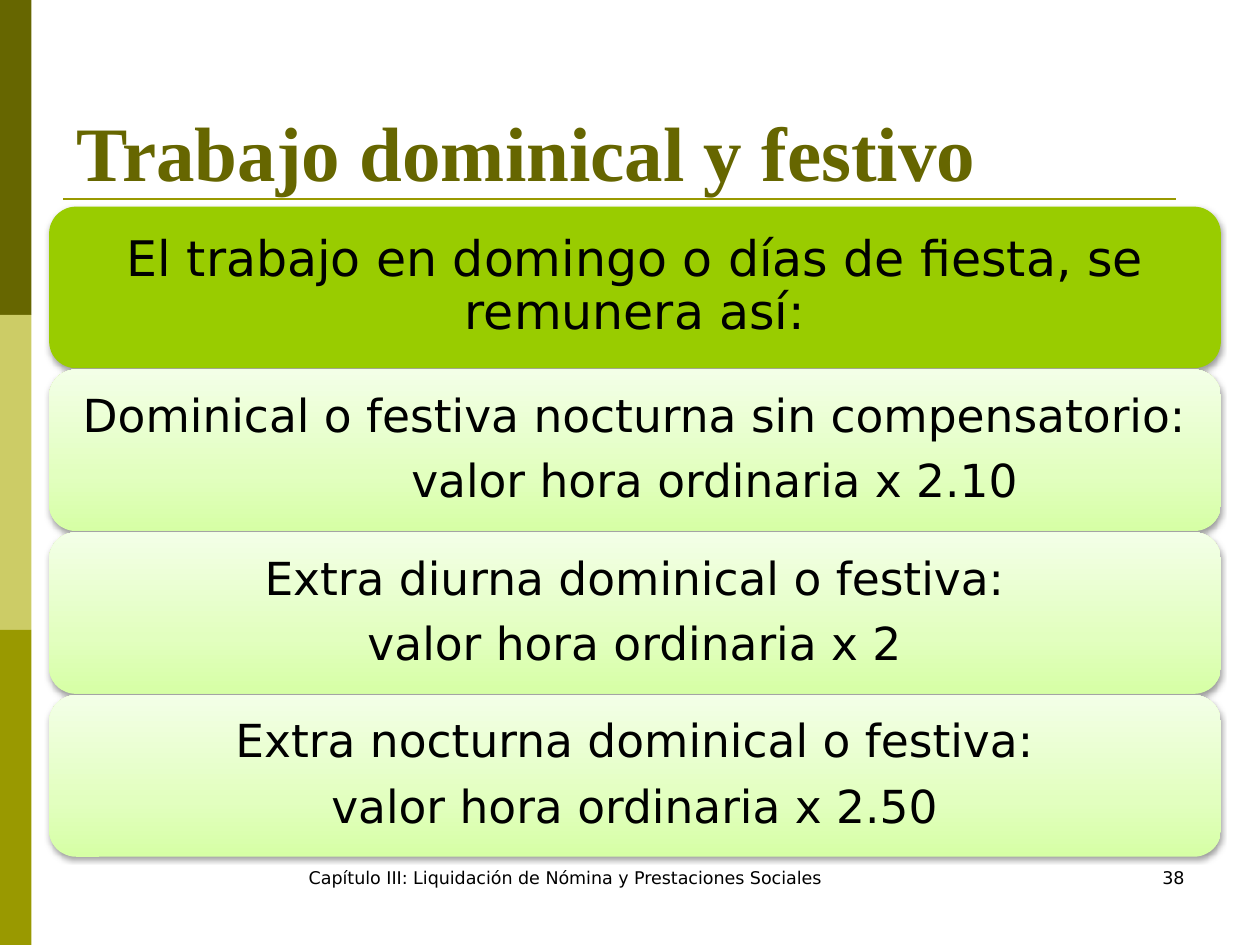
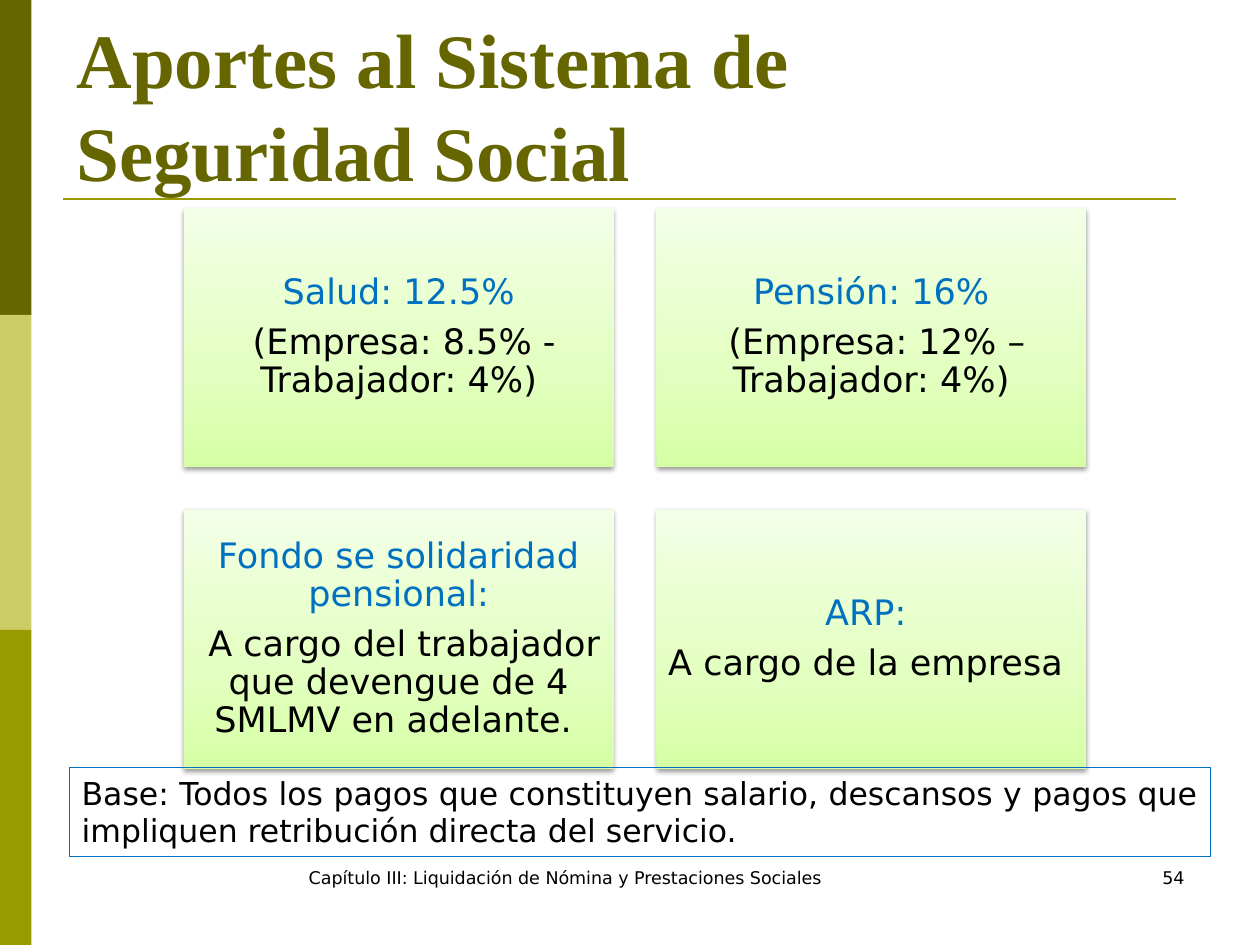
from copy import deepcopy

from pptx import Presentation
from pptx.dml.color import RGBColor
from pptx.enum.shapes import MSO_CONNECTOR, MSO_SHAPE as SHAPE
from pptx.enum.text import MSO_ANCHOR as ANCHOR, PP_ALIGN as ALIGN
from pptx.oxml import parse_xml
from pptx.oxml.ns import nsdecls, qn
from pptx.util import Inches, Pt

OLIVE_DARK = RGBColor(0x66, 0x66, 0x00)
OLIVE_PALE = RGBColor(0xCC, 0xCC, 0x66)
OLIVE = RGBColor(0x99, 0x99, 0x00)
LIME = RGBColor(0x99, 0xCC, 0x00)
BLUE = RGBColor(0x00, 0x70, 0xC0)
BLACK = RGBColor(0x00, 0x00, 0x00)
LIME_FADE = [(0, RGBColor(0xD6, 0xFF, 0xA5)),
             (0.35, RGBColor(0xE2, 0xFF, 0xBF)),
             (1, RGBColor(0xF3, 0xFF, 0xE7))]

BODY_FONT = "DejaVu Sans"
TITLE_FONT = "Times New Roman"
FOOTER = "Capítulo III: Liquidación de Nómina y Prestaciones Sociales"
CARD_SHADOW = (
    f'<a:effectLst {nsdecls("a")}><a:outerShdw blurRad="{Pt(3.1)}" '
    f'dist="{Pt(1.6)}" dir="5400000" rotWithShape="0"><a:srgbClr val="000000">'
    '<a:alpha val="38000"/></a:srgbClr></a:outerShdw></a:effectLst>')


def inches(box):
    return [Inches(value) for value in box]


def write(shape, paragraphs, size, align=ALIGN.LEFT, anchor=ANCHOR.TOP,
          inset=None, line_spacing=None, gap=0, font=BODY_FONT, bold=False):
    """Fill a shape with paragraphs given as (text, colour, left indent)."""
    frame = shape.text_frame
    frame.word_wrap = True
    frame.vertical_anchor = anchor
    if inset is not None:
        for side in ("left", "top", "right", "bottom"):
            setattr(frame, f"margin_{side}", Inches(inset))
    for index, (text, color, indent) in enumerate(paragraphs):
        paragraph = frame.paragraphs[0] if index == 0 else frame.add_paragraph()
        paragraph.text = text
        paragraph.alignment = align
        if line_spacing:
            paragraph.line_spacing = line_spacing
        if index and gap:
            paragraph.space_before = Pt(gap)
        if indent:
            paragraph._p.get_or_add_pPr().set("marL", str(Inches(indent)))
        for run in paragraph.runs:
            for name, value in {"size": Pt(size), "name": font, "bold": bold}.items():
                setattr(run.font, name, value)
            run.font.color.rgb = color


def add_text(slide, box, text, size, color=BLACK, **style):
    write(slide.shapes.add_textbox(*inches(box)), [(text, color, 0)], size, **style)


def add_block(slide, box, color):
    block = slide.shapes.add_shape(SHAPE.RECTANGLE, *inches(box))
    block.shadow.inherit = False
    block.fill.solid()
    block.fill.fore_color.rgb = color
    block.line.fill.background()


def fade(fill, properties):
    """Three-stop gradient, darkest at the bottom."""
    fill.gradient()
    fill.gradient_angle = 90
    stops = properties.find(".//" + qn("a:gsLst"))
    stops.insert(1, deepcopy(stops[0]))
    for stop, (position, color) in zip(fill.gradient_stops, LIME_FADE):
        stop.position = position
        stop.color.rgb = color


def add_card(slide, box, paragraphs, size, inset, outline, solid=None):
    card = slide.shapes.add_shape(outline, *inches(box))
    properties = card._element.spPr
    if solid:
        card.fill.solid()
        card.fill.fore_color.rgb = solid
    else:
        fade(card.fill, properties)
    card.line.fill.background()
    properties.append(parse_xml(CARD_SHADOW))
    write(card, paragraphs, size, ALIGN.CENTER, ANCHOR.MIDDLE, inset,
          line_spacing=0.9, gap=round(size * 0.36, 1))


def add_frame(deck, title, number):
    """Blank slide with side band, title, rule and footer."""
    slide = deck.slides.add_slide(deck.slide_layouts[6])
    # Side band
    for index, color in enumerate((OLIVE_DARK, OLIVE_PALE, OLIVE)):
        add_block(slide, (0, 2.5 * index, 0.25, 2.5), color)
    # Rule under the title
    rule = slide.shapes.add_connector(
        MSO_CONNECTOR.STRAIGHT, *inches((0.5, 1.58, 9.33, 1.58)))
    rule.line.color.rgb = OLIVE
    rule.line.width = Pt(1.5)
    rule._element.spPr.append(parse_xml(f'<a:effectLst {nsdecls("a")}/>'))
    # Title and footer
    add_text(slide, (0.51, 0.36, 9, 1.25), title, 44, OLIVE_DARK,
             anchor=ANCHOR.BOTTOM, font=TITLE_FONT, bold=True)
    add_text(slide, (1.87, 6.83, 5.23, 0.5), FOOTER, 10, align=ALIGN.CENTER)
    add_text(slide, (7.17, 6.83, 2.33, 0.5), str(number), 10, align=ALIGN.RIGHT)
    return slide


def add_rate_stack(slide, box, heading, rates):
    """Heading card with one card per rate below it, in equal rows."""
    left, top, width, height = box
    gap = 0.01
    row = (height + gap) / (len(rates) + 1)

    def row_box(index):
        return left, top + index * row, width, row - gap

    add_card(slide, row_box(0), [(heading, BLACK, 0)], 28, 0.12,
             SHAPE.ROUNDED_RECTANGLE, LIME)
    for index, (kind, value, indent) in enumerate(rates, 1):
        add_card(slide, row_box(index), [(kind, BLACK, 0), (value, BLACK, indent)],
                 26, 0.11, SHAPE.ROUNDED_RECTANGLE)


def add_contribution_grid(slide, box, contributions, columns=2, gap=0.34):
    left, top, width, height = box
    rows = len(contributions) // columns
    card_width = (width - gap * (columns - 1)) / columns
    card_height = (height - gap * (rows - 1)) / rows
    for index, (name, share) in enumerate(contributions):
        row, column = divmod(index, columns)
        add_card(slide, (left + column * (card_width + gap),
                         top + row * (card_height + gap), card_width, card_height),
                 [(name, BLUE, 0), (share, BLACK, 0)], 20, 0.08, SHAPE.RECTANGLE)


def add_base_note(slide, box, text):
    note = slide.shapes.add_shape(SHAPE.RECTANGLE, *inches(box))
    note.shadow.inherit = False
    note.fill.background()
    note.line.color.rgb = BLUE
    note.line.width = Pt(0.75)
    write(note, [(text, BLACK, 0)], 18, ALIGN.JUSTIFY)


def main():
    deck = Presentation()
    deck.slide_width, deck.slide_height = Inches(10), Inches(7.5)

    sunday_work = add_frame(deck, "Trabajo dominical y festivo", 38)
    add_rate_stack(
        sunday_work, (0.39, 1.64, 9.3, 5.16),
        "El trabajo en domingo o días de fiesta, se remunera así:",
        [("Dominical o festiva nocturna sin compensatorio:",
          "valor hora ordinaria x 2.10", 1.27),
         ("Extra diurna dominical o festiva:", "valor hora ordinaria x 2", 0),
         ("Extra nocturna dominical o festiva:", "valor hora ordinaria x 2.50", 0)])

    social_security = add_frame(deck, "Aportes al Sistema de \vSeguridad Social", 54)
    add_contribution_grid(
        social_security, (1.46, 1.65, 7.16, 4.45),
        [("Salud: 12.5%", " (Empresa: 8.5% - Trabajador: 4%)"),
         ("Pensión: 16%", " (Empresa: 12% – Trabajador: 4%)"),
         ("Fondo se solidaridad pensional:",
          " A cargo del trabajador que devengue de 4 SMLMV en adelante. "),
         ("ARP: ", "A cargo de la empresa ")])
    add_base_note(
        social_security, (0.55, 6.09, 9.06, 0.71),
        "Base: Todos los pagos que constituyen salario, descansos y pagos que "
        "impliquen retribución directa del servicio.")

    deck.save("out.pptx")


if __name__ == "__main__":
    main()
